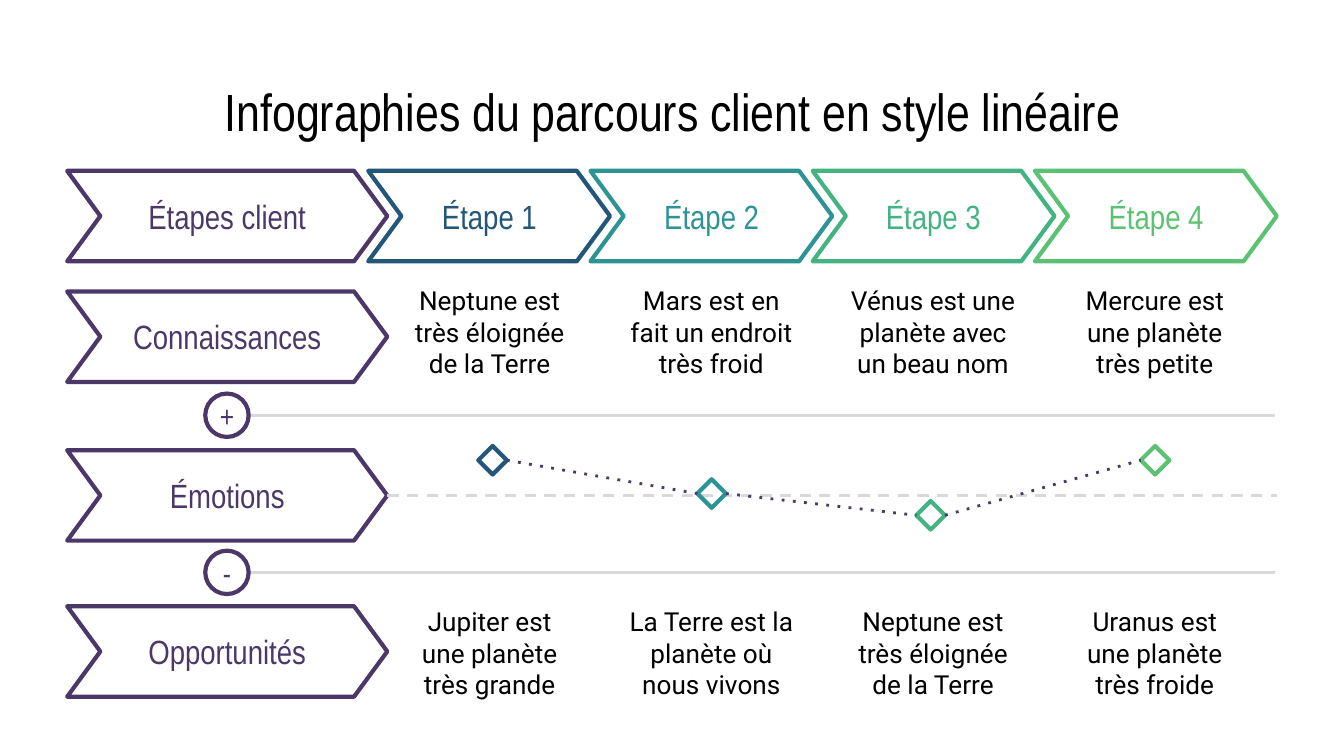
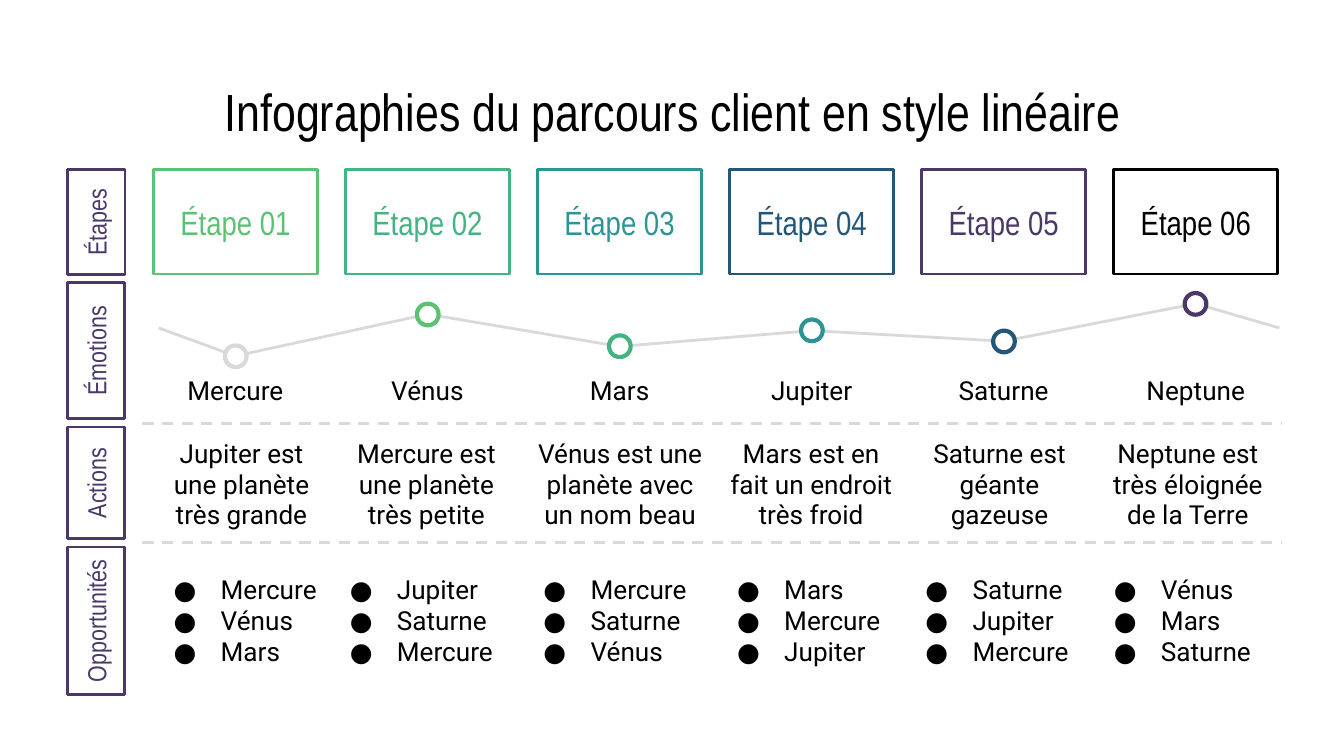
from lxml.etree import SubElement
from pptx import Presentation
from pptx.dml.color import RGBColor
from pptx.enum.shapes import MSO_CONNECTOR, MSO_SHAPE
from pptx.enum.text import MSO_ANCHOR as ANCHOR, PP_ALIGN as ALIGN
from pptx.oxml.ns import qn
from pptx.util import Cm, Pt

COLORS = {"purple": "4B3869", "blue": "22577A", "teal": "2D9496", "green": "43B382",
          "lime": "5BC273", "grey": "D9D9D9", "black": "000000", "white": "FFFFFF"}
HEAD, BODY = "Arial Narrow", "Roboto"
TITLE = "Infographies du parcours client en style linéaire"
LEFT = 1.27

# Slide 1: lengths in cm
STEPS = [("Étape 1", "blue"), ("Étape 2", "teal"), ("Étape 3", "green"), ("Étape 4", "lime")]
STAGES = [("Étapes client", 3.23), ("Connaissances", 5.51), ("Émotions", 8.51),
          ("Opportunités", 11.46)]
PLANET_FACTS = [
    (5.13, ["Neptune est très éloignée de la Terre", "Mars est en fait un endroit très froid",
            "Vénus est une planète avec un beau nom", "Mercure est une planète très petite"]),
    (11.2, ["Jupiter est une planète très grande", "La Terre est la planète où nous vivons",
            "Neptune est très éloignée de la Terre", "Uranus est une planète très froide"]),
]
SIGNS = [("+", 7.85), ("-", 10.82)]
MOODS = [(9.31, 8.7), (13.45, 9.33), (17.59, 9.74), (21.83, 8.7)]

# Slide 2: lengths in cm
JOURNEY = [
    ("Étape 01", "lime", "Mercure", 6.73, "Jupiter est une planète très grande",
     ["Mercure", "Vénus", "Mars"]),
    ("Étape 02", "green", "Vénus", 5.94, "Mercure est une planète très petite",
     ["Jupiter", "Saturne", "Mercure"]),
    ("Étape 03", "teal", "Mars", 6.55, "Vénus est une planète avec un nom beau",
     ["Mercure", "Saturne", "Vénus"]),
    ("Étape 04", "blue", "Jupiter", 6.25, "Mars est en fait un endroit très froid",
     ["Mars", "Mercure", "Jupiter"]),
    ("Étape 05", "purple", "Saturne", 6.45, "Saturne est géante gazeuse",
     ["Saturne", "Jupiter", "Mercure"]),
    ("Étape 06", "black", "Neptune", 5.74, "Neptune est très éloignée de la Terre",
     ["Vénus", "Mars", "Saturne"]),
]
ROW_LABELS = [("Étapes", 1.98), ("Émotions", 2.57), ("Actions", 2.11), ("Opportunités", 2.79)]
CURVE_ENDS = [(3.0, 6.2), (24.18, 6.2)]
TABLE_COLUMNS = [3.33, 3.66, 3.66, 3.56, 3.56, 3.56]
TABLE_ROWS = [2.34, 2.82]


def rgb(color):
    return RGBColor.from_string(COLORS[color])


def box(*lengths):
    return [Cm(round(length, 2)) for length in lengths]


def style_line(item, color, width, dash=None):
    item.line.color.rgb = rgb(color)
    item.line.width = Pt(width)
    ln = item._element.spPr.find(qn("a:ln"))
    if dash:
        SubElement(ln, qn("a:prstDash"), val=dash)
    SubElement(ln, qn("a:round"))


def write(paragraph, text, size, color="black", font=BODY, align=ALIGN.CENTER):
    paragraph.alignment = align
    run = paragraph.add_run()
    run.text = text
    run.font.size = Pt(size)
    run.font.name = font
    run.font.color.rgb = rgb(color)


def set_margins(target, margin):
    target.margin_left = target.margin_right = Cm(margin)
    target.margin_top = target.margin_bottom = Cm(margin)


def add_text(slide, text, x, y, w, h, size, color="black", font=BODY):
    frame = slide.shapes.add_textbox(*box(x, y, w, h)).text_frame
    frame.word_wrap = True
    set_margins(frame, 0.25)
    write(frame.paragraphs[0], text, size, color, font)


def add_outline(slide, kind, x, y, w, h, color, width=2.25, fill=None, text=None, size=18):
    """Add a preset shape with a coloured contour and optional centred text."""
    shape = slide.shapes.add_shape(kind, *box(x, y, w, h))
    shape.shadow.inherit = False
    if fill:
        shape.fill.solid()
        shape.fill.fore_color.rgb = rgb(fill)
    else:
        shape.fill.background()
    style_line(shape, color, width)
    if text:
        frame = shape.text_frame
        frame.word_wrap = True
        frame.vertical_anchor = ANCHOR.MIDDLE
        set_margins(frame, 0)
        write(frame.paragraphs[0], text, size, color, HEAD)
    return shape


def add_line(slide, start, end, color="grey", dash=None):
    connector = slide.shapes.add_connector(MSO_CONNECTOR.STRAIGHT, *box(*start, *end))
    style_line(connector, color, 1.5, dash)
    SubElement(connector._element.spPr, qn("a:effectLst"))


def add_chevron(slide, text, x, y, w, label_width, color):
    height, label_height = 1.71, 1.27
    chevron = add_outline(slide, MSO_SHAPE.CHEVRON, x, y, w, height, color)
    chevron.adjustments[0] = 0.367
    add_text(slide, text, x + (w - label_width) / 2, y + (height - label_height) / 2,
             label_width, label_height, 18, color, HEAD)


def add_titled_slide(prs):
    slide = prs.slides.add_slide(prs.slide_layouts[6])
    slide.background.fill.solid()
    slide.background.fill.fore_color.rgb = rgb("white")
    add_text(slide, TITLE, LEFT, 1.24, 22.86, 1.6, 28, font=HEAD)
    return slide


def build_stages(prs):
    slide = add_titled_slide(prs)
    stage_width, sign_size, mood_size = 6.05, 0.82, 0.54
    sign_x = LEFT + (stage_width - sign_size) / 2

    for sign, y in SIGNS:
        add_line(slide, (sign_x + sign_size, y), (24.1, y))
        add_outline(slide, MSO_SHAPE.OVAL, sign_x, y - sign_size / 2, sign_size, sign_size,
                    "purple", text=sign, size=16)
    for i, (step, color) in enumerate(STEPS):
        add_chevron(slide, step, 6.96 + 4.2 * i, STAGES[0][1], 4.57, 3.86, color)
    for stage, y in STAGES:
        add_chevron(slide, stage, LEFT, y, stage_width, 4.39, "purple")
    for y, facts in PLANET_FACTS:
        for i, fact in enumerate(facts):
            add_text(slide, fact, 7.39 + 4.19 * i, y, 3.73, 2.24, 14)

    add_line(slide, (LEFT + stage_width, 9.36), (24.13, 9.36), dash="dash")
    radius = mood_size / 2
    for (x, y), (_, color) in zip(MOODS, STEPS):
        add_outline(slide, MSO_SHAPE.DIAMOND, x - radius, y - radius, mood_size, mood_size, color)
    for (x1, y1), (x2, y2) in zip(MOODS, MOODS[1:]):
        add_line(slide, (x1 + radius, y1), (x2 - radius, y2), "purple", "dot")


def add_curve(slide, points):
    start, *rest = [box(*point) for point in points]
    builder = slide.shapes.build_freeform(*start)
    builder.add_line_segments(rest, close=False)
    curve = builder.convert_to_shape()
    curve.shadow.inherit = False
    curve.fill.background()
    style_line(curve, "grey", 1.5)


def add_bullet(paragraph):
    properties = paragraph._p.get_or_add_pPr()
    properties.set("marL", str(Cm(1.27)))
    properties.set("indent", str(Cm(-0.89)))
    color = SubElement(properties, qn("a:buClr"))
    SubElement(color, qn("a:srgbClr"), val=COLORS["black"])
    SubElement(properties, qn("a:buFont"), typeface=BODY)
    SubElement(properties, qn("a:buChar"), char="●")


def clear_cell(cell, margin):
    cell.vertical_anchor = ANCHOR.MIDDLE
    set_margins(cell, margin)
    properties = cell._tc.get_or_add_tcPr()
    for side in ("a:lnL", "a:lnR", "a:lnT", "a:lnB"):
        SubElement(SubElement(properties, qn(side)), qn("a:noFill"))
    cell.fill.background()


def add_planet_table(slide, x, y):
    frame = slide.shapes.add_table(len(TABLE_ROWS), len(TABLE_COLUMNS),
                                   *box(x, y, sum(TABLE_COLUMNS), sum(TABLE_ROWS)))
    table = frame.table
    table.first_row = table.horz_banding = False
    for row, height in zip(table.rows, TABLE_ROWS):
        row.height = Cm(height)
    for i, (*_, action, chances) in enumerate(JOURNEY):
        table.columns[i].width = Cm(TABLE_COLUMNS[i])
        action_cell, chance_cell = table.cell(0, i), table.cell(1, i)
        clear_cell(action_cell, 0.13)
        write(action_cell.text_frame.paragraphs[0], action, 14)
        clear_cell(chance_cell, 0)
        frame = chance_cell.text_frame
        for n, chance in enumerate(chances):
            paragraph = frame.add_paragraph() if n else frame.paragraphs[0]
            write(paragraph, chance, 14, align=ALIGN.LEFT)
            add_bullet(paragraph)


def build_journey(prs):
    slide = add_titled_slide(prs)
    top, label_width, gap = 3.2, 1.09, 0.16
    first_x, pitch, width, marker = 2.9, 3.63, 3.1, 0.41

    y = top
    for label, length in ROW_LABELS:
        tag = add_outline(slide, MSO_SHAPE.RECTANGLE, LEFT + (label_width - length) / 2,
                          y + (length - label_width) / 2, length, label_width,
                          "purple", 1.5, text=label, size=14)
        tag.rotation = 270
        y += length + gap

    lefts = [first_x + pitch * i for i in range(len(JOURNEY))]
    centers = [(x + width / 2, step[3]) for x, step in zip(lefts, JOURNEY)]
    add_curve(slide, [CURVE_ENDS[0], *centers, CURVE_ENDS[1]])
    marker_colors = ["grey"] + [step[1] for step in JOURNEY[:-1]]
    for x, (cx, cy), step, marker_color in zip(lefts, centers, JOURNEY, marker_colors):
        name, color, planet = step[:3]
        add_outline(slide, MSO_SHAPE.RECTANGLE, x, top, width, ROW_LABELS[0][1],
                    color, 1.5, text=name)
        add_outline(slide, MSO_SHAPE.OVAL, cx - marker / 2, cy - marker / 2, marker, marker,
                    marker_color, fill="white")
        add_text(slide, planet, x, 6.83, width, 1.02, 14)

    for y in (8.0, 10.26):
        add_line(slide, (2.69, y), (24.21, y), dash="dash")
    add_planet_table(slide, first_x, 8.0)


def main():
    prs = Presentation()
    prs.slide_width, prs.slide_height = box(25.4, 14.29)
    build_stages(prs)
    build_journey(prs)
    prs.save("out.pptx")


if __name__ == "__main__":
    main()
